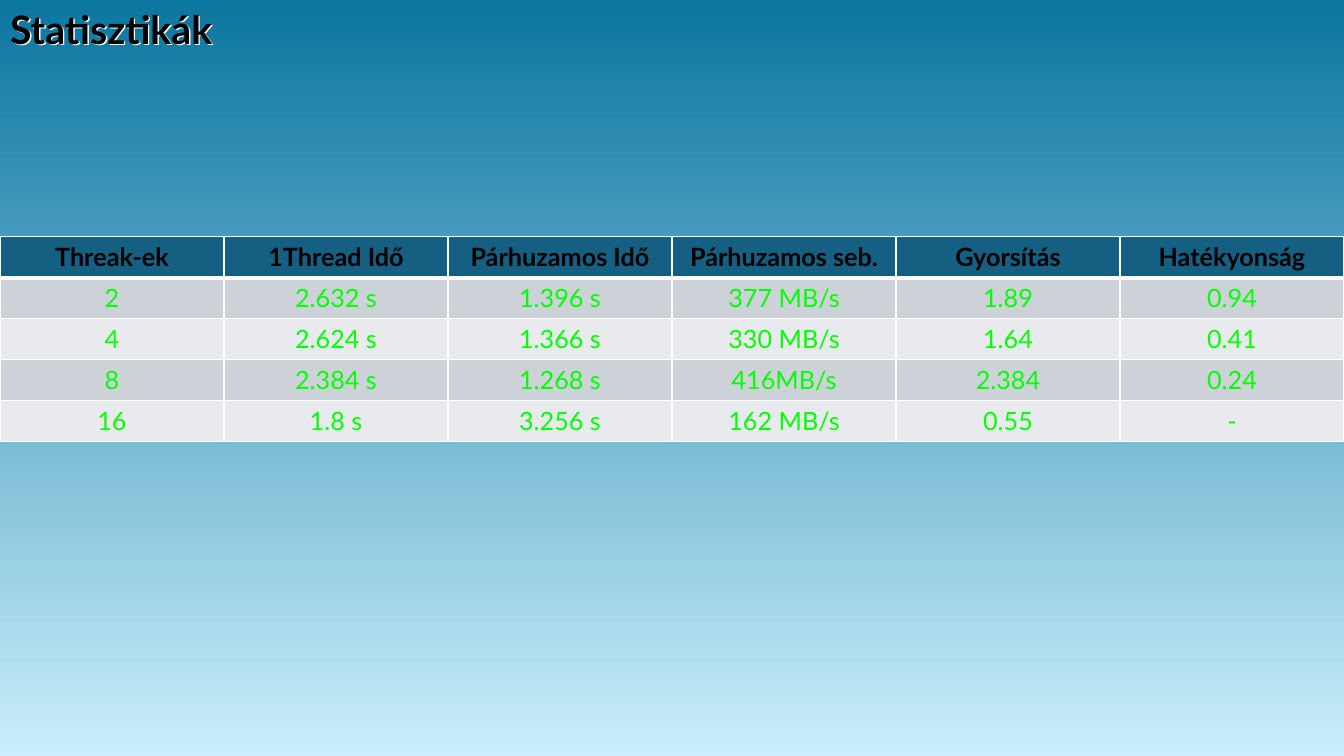
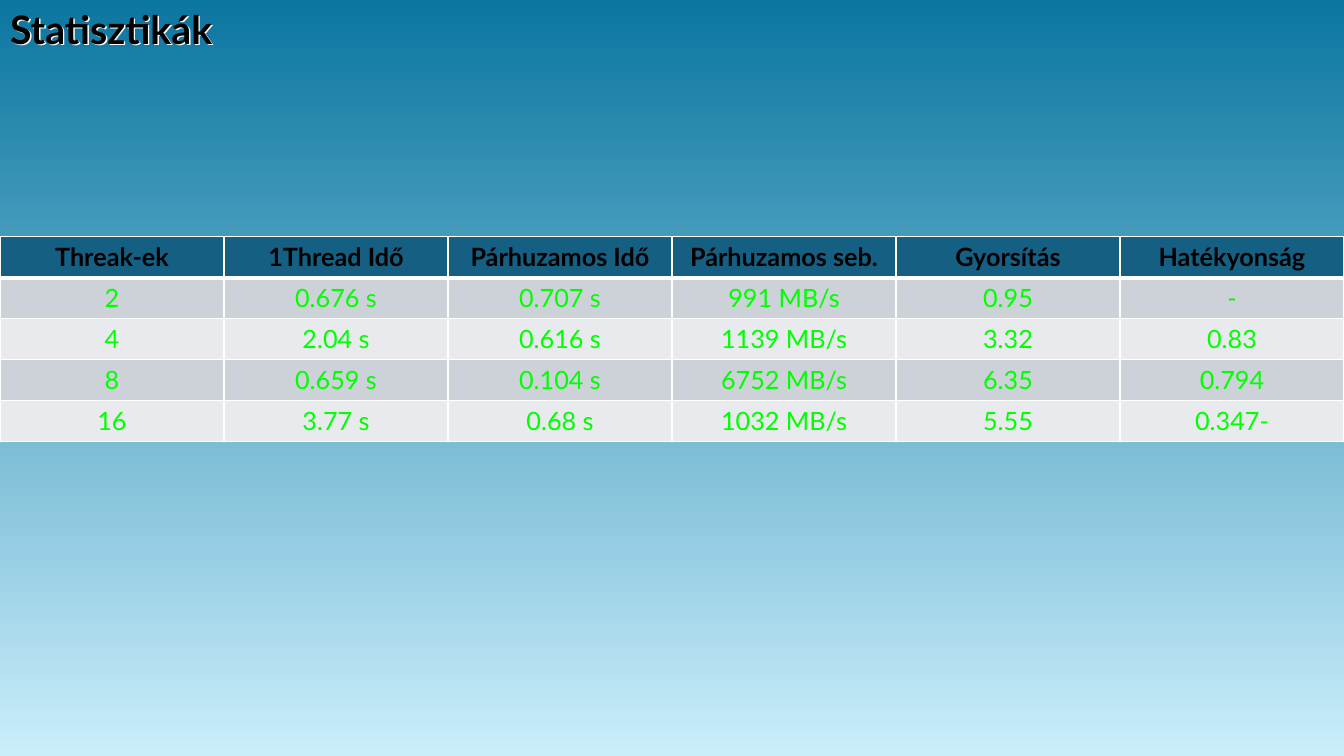
import pptx
import pptx.util
import pptx.dml.color
import pptx.enum.text
import pptx.oxml
import pptx.oxml.ns
from lxml import etree

Inches, Pt = pptx.util.Inches, pptx.util.Pt
RGBColor = pptx.dml.color.RGBColor
PP_ALIGN = pptx.enum.text.PP_ALIGN
qn = pptx.oxml.ns.qn

BLACK = RGBColor(0x00, 0x00, 0x00)
WHITE = RGBColor(0xFF, 0xFF, 0xFF)
GREEN = RGBColor(0x00, 0xFF, 0x00)
HEADER_BLUE = RGBColor(0x15, 0x60, 0x82)
BAND_DARK = RGBColor(0xCC, 0xD2, 0xD8)
BAND_LIGHT = RGBColor(0xE8, 0xEA, 0xED)
SKY_TOP = RGBColor(0x0B, 0x76, 0xA0)
SKY_BOTTOM = RGBColor(0xCA, 0xEE, 0xFB)
FONT = "Lato"
WIDTH, HEIGHT = 13.33, 7.5
TITLE_BOX = (0, 0, WIDTH, 0.57)
TABLE_BOX = (0, 2.35, WIDTH, 2.03)

TITLE = "Statisztikák"
HEADERS = ["Threak-ek", "1Thread Idő", "Párhuzamos Idő",
           "Párhuzamos seb.", "Gyorsítás", "Hatékyonság"]
MEASUREMENTS = [
    [
        ["2", "2.632 s", "1.396 s", "377 MB/s", "1.89", "0.94"],
        ["4", "2.624 s", "1.366 s", "330 MB/s", "1.64", "0.41"],
        ["8", "2.384 s", "1.268 s", "416MB/s", "2.384", "0.24"],
        ["16", "1.8 s", "3.256 s", "162 MB/s", "0.55", "-"],
    ],
    [
        ["2", "0.676 s", "0.707 s", "991 MB/s", "0.95", "-"],
        ["4", "2.04 s", "0.616 s", "1139 MB/s", "3.32", "0.83"],
        ["8", "0.659 s", "0.104 s", "6752 MB/s", "6.35", "0.794"],
        ["16", "3.77 s", "0.68 s", "1032 MB/s", "5.55", "0.347-"],
    ],
]


def write(tf, text, size=18, color=BLACK, bold=False, align=PP_ALIGN.CENTER):
    p = tf.paragraphs[0]
    p.alignment = align
    r = p.add_run()
    r.text = text
    r.font.name = FONT
    r.font.size = Pt(size)
    r.font.bold = bold
    r.font.color.rgb = color


def add_color(parent, color):
    fill = etree.SubElement(parent, qn("a:solidFill"))
    etree.SubElement(fill, qn("a:srgbClr"), val=str(color))


def set_background(master):
    fill = master.background.fill
    fill.gradient()
    fill.gradient_angle = 270
    for stop, color in zip(fill.gradient_stops, (SKY_TOP, SKY_BOTTOM)):
        stop.color.rgb = color


def set_borders(cell, widths):
    tcPr = cell._tc.get_or_add_tcPr()
    for i, (side, width) in enumerate(widths.items()):
        ln = etree.Element(qn("a:" + side), w=str(Pt(width)))
        add_color(ln, WHITE)
        tcPr.insert(i, ln)


def add_title(s, box, text):
    sp = s.shapes.title
    sp.left, sp.top, sp.width, sp.height = map(Inches, box)
    sp.fill.background()
    sp.shadow.inherit = False
    effects = sp._element.spPr.find(qn("a:effectLst"))
    shadow = etree.SubElement(effects, qn("a:outerShdw"), dist=str(Pt(1.5)), dir="2700000")
    etree.SubElement(shadow, qn("a:srgbClr"), val=str(WHITE))
    tf = sp.text_frame
    tf.word_wrap = True
    tf.auto_size = pptx.enum.text.MSO_AUTO_SIZE.SHAPE_TO_FIT_TEXT
    tf.vertical_anchor = pptx.enum.text.MSO_ANCHOR.TOP
    write(tf, text, size=28, bold=True, align=PP_ALIGN.LEFT)


def add_results(s, box, rows):
    grid = [HEADERS] + rows
    table = s.shapes.add_table(len(grid), len(HEADERS), *map(Inches, box)).table
    for i, row in enumerate(grid):
        header = i == 0
        fill = HEADER_BLUE if header else BAND_DARK if i % 2 else BAND_LIGHT
        widths = {"lnL": 1, "lnR": 1, "lnT": 3 if i == 1 else 1, "lnB": 3 if header else 1}
        for j, text in enumerate(row):
            cell = table.cell(i, j)
            cell.fill.solid()
            cell.fill.fore_color.rgb = fill
            set_borders(cell, widths)
            write(cell.text_frame, text, color=BLACK if header else GREEN, bold=header)


def add_statistics_slide(prs, rows):
    s = prs.slides.add_slide(prs.slide_layouts[5])
    add_title(s, TITLE_BOX, TITLE)
    add_results(s, TABLE_BOX, rows)


def main():
    prs = pptx.Presentation()
    prs.slide_width, prs.slide_height = Inches(WIDTH), Inches(HEIGHT)
    set_background(prs.slide_master)
    for rows in MEASUREMENTS:
        add_statistics_slide(prs, rows)
    prs.save("out.pptx")


if __name__ == "__main__":
    main()
